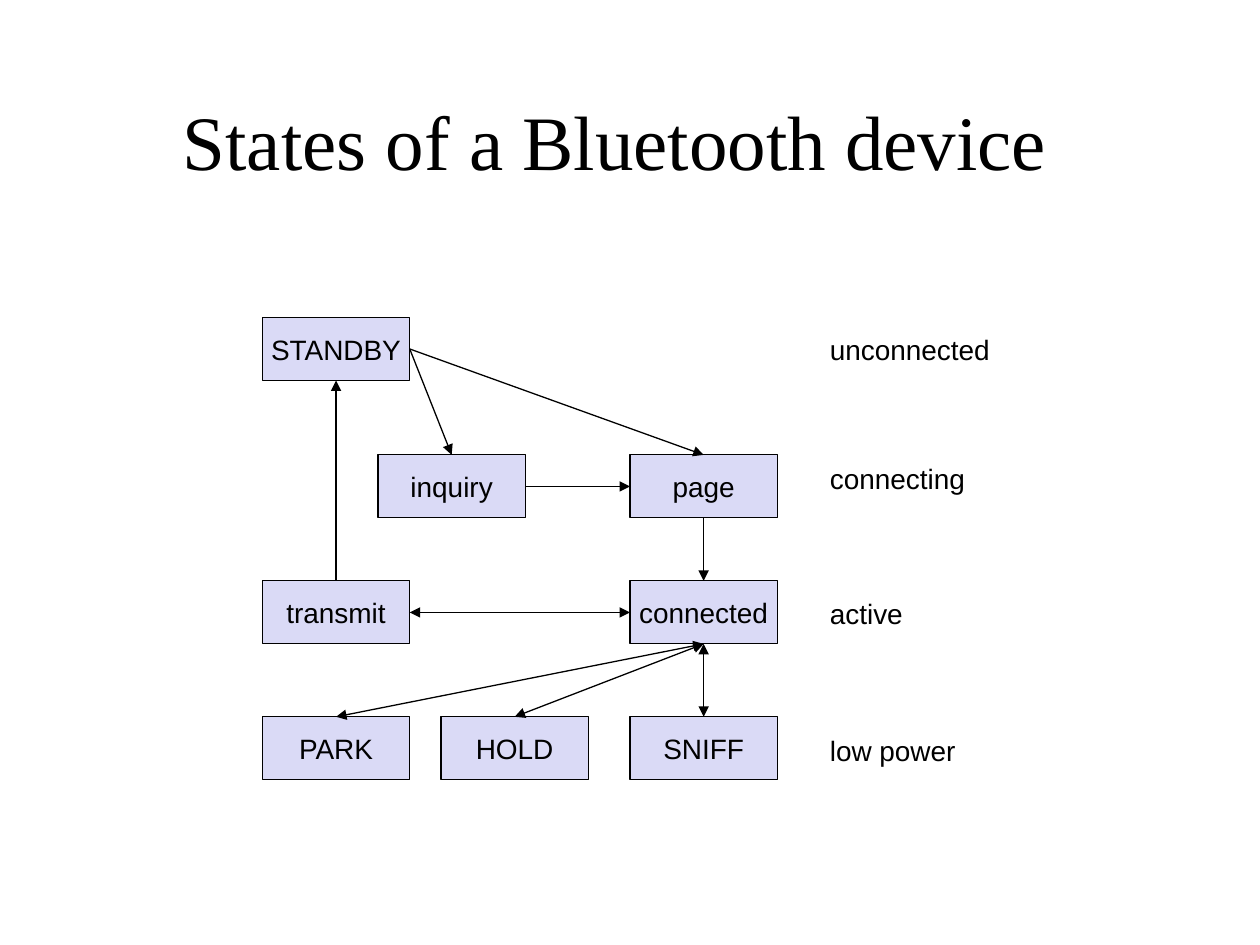
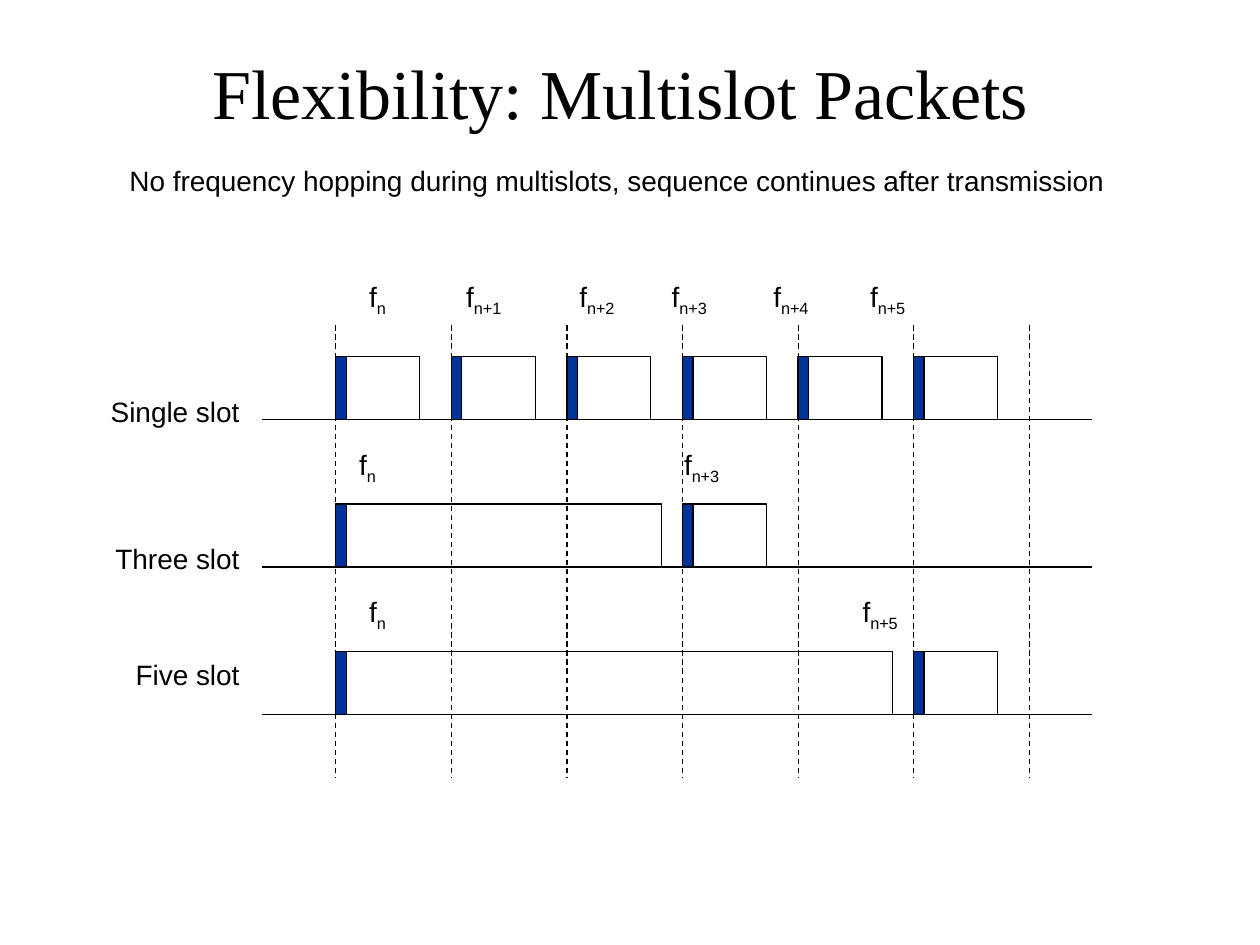
from lxml.etree import SubElement
from pptx import Presentation
from pptx.dml.color import RGBColor
from pptx.enum.dml import MSO_LINE
from pptx.enum.shapes import MSO_CONNECTOR, MSO_SHAPE
from pptx.enum.text import MSO_ANCHOR, MSO_AUTO_SIZE, PP_ALIGN
from pptx.oxml.ns import qn
from pptx.util import Cm, Pt

COLORS = {"ink": "000000", "state": "DADAF6", "header": "003399"}
TITLE_FONT, BODY_FONT = "Times New Roman", "Arial"
BODY_SIZE = 16
LINE_WIDTH = Pt(0.75)
TOP, LEFT, BOTTOM, RIGHT = range(4)

# Slide 1 content: name -> (left, top) in cm
STATES_TITLE = "States of a Bluetooth device"
STATE_SIZE = (2.97, 1.27)
STATES = {
    "STANDBY": (5.29, 6.4),
    "inquiry": (7.62, 9.17),
    "page": (12.7, 9.17),
    "connected": (12.7, 11.71),
    "transmit": (5.29, 11.71),
    "PARK": (5.29, 14.45),
    "HOLD": (8.89, 14.45),
    "SNIFF": (12.7, 14.45),
}
# Phase label, top, width in cm
PHASE_LEFT = 16.48
PHASES = [
    ("unconnected", 6.58, 3.73),
    ("connecting", 9.17, 3.23),
    ("active", 11.91, 1.98),
    ("low power", 14.66, 3.05),
]
# From state, side, to state, side, arrows at both ends
TRANSITIONS = [
    ("STANDBY", RIGHT, "page", TOP, False),
    ("STANDBY", RIGHT, "inquiry", TOP, False),
    ("inquiry", RIGHT, "page", LEFT, False),
    ("page", BOTTOM, "connected", TOP, False),
    ("transmit", TOP, "STANDBY", BOTTOM, False),
    ("PARK", TOP, "connected", BOTTOM, True),
    ("HOLD", TOP, "connected", BOTTOM, True),
    ("SNIFF", TOP, "connected", BOTTOM, True),
    ("transmit", RIGHT, "connected", LEFT, True),
]

# Slide 2 content: packets are (first slot, slots used); frequencies are (subscript, tab stop in cm)
PACKETS_TITLE = "Flexibility: Multislot Packets"
PACKETS_NOTE = "No frequency hopping during multislots, sequence continues after transmission"
ROWS = [
    {"label": "Single slot", "label_top": 7.82,
     "packets": [(slot, 1) for slot in range(6)],
     "frequency_at": (7.19, 5.51),
     "frequencies": [("n", 0), ("n+1", 1.96), ("n+2", 4.24), ("n+3", 6.1),
                     ("n+4", 8.15), ("n+5", 10.1)]},
    {"label": "Three slot", "label_top": 10.8,
     "packets": [(0, 3), (3, 1)],
     "frequency_at": (6.99, 8.89),
     "frequencies": [("n", 0), ("n+3", 6.55)]},
    {"label": "Five slot", "label_top": 13.13,
     "packets": [(0, 5), (5, 1)],
     "frequency_at": (7.19, 11.86),
     "frequencies": [("n", 0), ("n+5", 9.95)]},
]
SLOT_LEFT, SLOT_PITCH, SLOT_COUNT = 6.77, 2.33, 6
SLOT_TOP, SLOT_BOTTOM = 6.56, 15.67
AXIS_LEFT, AXIS_RIGHT = 5.29, 22.01
FIRST_AXIS, AXIS_PITCH = 8.46, 2.97
PACKET_HEIGHT, HEADER_WIDTH = 1.27, 0.21
SINGLE_GAP, MULTISLOT_GAP = 0.64, 0.42


def color(name):
    return RGBColor.from_string(COLORS[name])


def format_run(run, size=BODY_SIZE, font=BODY_FONT):
    run.font.size = Pt(size)
    run.font.name = font
    run.font.color.rgb = color("ink")


def set_text(shape, text, alignment, size=BODY_SIZE, font=BODY_FONT):
    shape.text_frame.text = text
    paragraph = shape.text_frame.paragraphs[0]
    paragraph.alignment = alignment
    format_run(paragraph.runs[0], size, font)


def add_titled_slide(presentation, text, box, size):
    slide = presentation.slides.add_slide(presentation.slide_layouts[5])
    title = slide.shapes.title
    title.left, title.top, title.width, title.height = map(Cm, box)
    set_text(title, text, PP_ALIGN.CENTER, size, TITLE_FONT)
    title.text_frame.vertical_anchor = MSO_ANCHOR.MIDDLE
    title.text_frame.auto_size = MSO_AUTO_SIZE.NONE
    return slide


def add_label(slide, box, text="", alignment=PP_ALIGN.LEFT, wrap=False):
    label = slide.shapes.add_textbox(*map(Cm, box))
    label.text_frame.word_wrap = wrap
    label.text_frame.auto_size = MSO_AUTO_SIZE.SHAPE_TO_FIT_TEXT
    if text:
        set_text(label, text, alignment)
    return label


def add_rectangle(slide, box, fill=None):
    rectangle = slide.shapes.add_shape(MSO_SHAPE.RECTANGLE, *map(Cm, box))
    rectangle.shadow.inherit = False
    if fill:
        rectangle.fill.solid()
        rectangle.fill.fore_color.rgb = color(fill)
    else:
        rectangle.fill.background()
    rectangle.line.color.rgb = color("ink")
    rectangle.line.width = LINE_WIDTH
    return rectangle


def add_line(slide, ends=(0, 0, 0, 0), dashed=False):
    line = slide.shapes.add_connector(MSO_CONNECTOR.STRAIGHT, *map(Cm, ends))
    line.line.color.rgb = color("ink")
    line.line.width = LINE_WIDTH
    if dashed:
        line.line.dash_style = MSO_LINE.DASH
    SubElement(line._element.spPr, qn("a:effectLst"))
    return line


def add_arrowheads(line, both):
    outline = line._element.spPr.find(qn("a:ln"))
    for tag in ("a:headEnd", "a:tailEnd") if both else ("a:tailEnd",):
        SubElement(outline, qn(tag), type="triangle")


def add_frequencies(slide, row):
    label = add_label(slide, (*row["frequency_at"], 13.54, 1.04), wrap=True)
    paragraph = label.text_frame.paragraphs[0]
    properties = paragraph._p.get_or_add_pPr()
    tab_list = SubElement(properties, qn("a:tabLst"))
    for subscript, stop in row["frequencies"]:
        if stop:
            SubElement(tab_list, qn("a:tab"), pos=str(Cm(stop)), algn="l")
        for text, baseline in (("\tf" if stop else "f", 0), (subscript, -25000)):
            run = paragraph.add_run()
            run.text = text
            format_run(run)
            run.font._element.set("baseline", str(baseline))


def build_states(presentation):
    slide = add_titled_slide(presentation, STATES_TITLE, (1.3, 1.7, 22.2, 2.24), 44)

    # State boxes
    boxes = {}
    for name, position in STATES.items():
        boxes[name] = add_rectangle(slide, (*position, *STATE_SIZE), "state")
        set_text(boxes[name], name, PP_ALIGN.CENTER)
        boxes[name].text_frame.word_wrap = False
        boxes[name].text_frame.vertical_anchor = MSO_ANCHOR.MIDDLE

    # Phase labels
    for text, top, width in PHASES:
        add_label(slide, (PHASE_LEFT, top, width, 0.94), text)

    # Transitions
    for start, start_side, end, end_side, both in TRANSITIONS:
        arrow = add_line(slide)
        arrow.begin_connect(boxes[start], start_side)
        arrow.end_connect(boxes[end], end_side)
        add_arrowheads(arrow, both)


def build_packets(presentation):
    slide = add_titled_slide(presentation, PACKETS_TITLE, (1.32, 0.53, 22.38, 2.64), 40)
    add_label(slide, (2.36, 3.18, 20.17, 0.94), PACKETS_NOTE)

    # Slot boundaries
    for slot in range(SLOT_COUNT + 1):
        x = SLOT_LEFT + slot * SLOT_PITCH
        add_line(slide, (x, SLOT_TOP, x, SLOT_BOTTOM), dashed=True)

    # One time axis with its packets per row
    for index, row in enumerate(ROWS):
        axis = FIRST_AXIS + index * AXIS_PITCH
        add_label(slide, (1.47, row["label_top"], 3.61, 0.94), row["label"],
                  PP_ALIGN.RIGHT, wrap=True)
        add_line(slide, (AXIS_LEFT, axis, AXIS_RIGHT, axis))
        top = axis - PACKET_HEIGHT
        for slot, span in row["packets"]:
            left = SLOT_LEFT + slot * SLOT_PITCH
            gap = SINGLE_GAP if span == 1 else MULTISLOT_GAP
            payload = span * SLOT_PITCH - gap - HEADER_WIDTH
            add_rectangle(slide, (left, top, HEADER_WIDTH, PACKET_HEIGHT), "header")
            add_rectangle(slide, (left + HEADER_WIDTH, top, payload, PACKET_HEIGHT))
        add_frequencies(slide, row)


def main():
    presentation = Presentation()
    presentation.slide_width, presentation.slide_height = Cm(25.4), Cm(19.05)
    build_states(presentation)
    build_packets(presentation)
    presentation.save("out.pptx")


if __name__ == "__main__":
    main()
